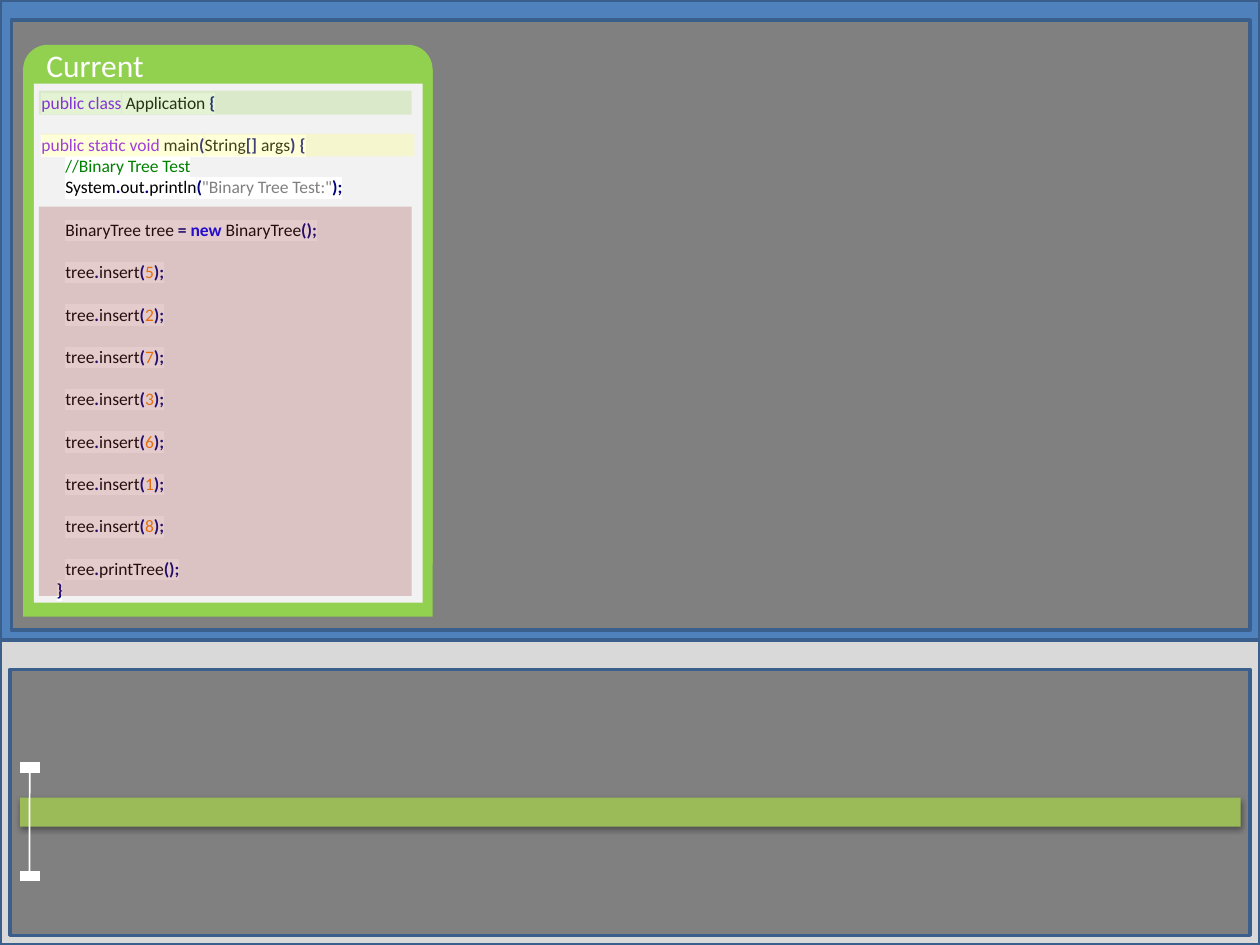
from lxml import etree
from pptx import Presentation
from pptx.dml.color import RGBColor
from pptx.enum.shapes import MSO_CONNECTOR, MSO_SHAPE
from pptx.enum.text import MSO_AUTO_SIZE
from pptx.oxml.ns import qn
from pptx.util import Pt

RECT = MSO_SHAPE.RECTANGLE
ROUND_TOP = MSO_SHAPE.ROUND_2_SAME_RECTANGLE
STRAIGHT = MSO_CONNECTOR.STRAIGHT
GROW = MSO_AUTO_SIZE.SHAPE_TO_FIT_TEXT

FONT = "Calibri"
CODE_SIZE = 10
BLANK_LINE = 12.2
COLORS = {
    "border": "3A5F8C", "footer": "D9D9D9", "frame": "4F81BD", "panel": "808080",
    "card": "92D050", "page": "F2F2F2", "white": "FFFFFF", "timeline": "9BBB59",
    "main_mark": "FFFF66", "class_mark": "92D050", "body_mark": "953735",
    "shadow": "000000",
    "keyword": "8000FF", "name": "000000", "symbol": "000080", "comment": "008000",
    "string": "808080", "new": "0000FF", "number": "FF8000",
}
BOLD_TOKENS = {"symbol", "new"}


def rgb(name):
    return RGBColor.from_string(COLORS[name])


def add_block(left, top, width, height, fill, border=False, opacity=None, kind=RECT):
    block = slide.shapes.add_shape(kind, Pt(left), Pt(top), Pt(width), Pt(height))
    block.shadow.inherit = False
    block.fill.solid()
    block.fill.fore_color.rgb = rgb(fill)
    if opacity:
        color = block._element.spPr.find(qn("a:solidFill"))[0]
        etree.SubElement(color, qn("a:alpha")).set("val", str(opacity * 1000))
    if border:
        block.line.color.rgb = rgb("border")
        block.line.width = Pt(2)
    else:
        block.line.fill.background()
    return block


prs = Presentation()
prs.slide_width, prs.slide_height = Pt(720), Pt(540)
slide = prs.slides.add_slide(prs.slide_layouts[6])

# Upper and lower areas with their panels
add_block(0, 365.8, 720, 174.2, "footer", border=True)
add_block(0, 0, 720, 365.8, "frame", border=True)
add_block(5.8, 382.5, 708.5, 152, "panel", border=True)
add_block(6.5, 11.5, 707.8, 348.5, "panel", border=True)

# Code card
card_top = add_block(13.2, 25.6, 234, 296.6, "card", kind=ROUND_TOP)
card_top.adjustments[0] = 0.06
card_top.adjustments[1] = 0
add_block(13.2, 39.6, 234, 312.8, "card")
add_block(19.4, 47.8, 222.2, 296.6, "page")

title = slide.shapes.add_textbox(Pt(19.4), Pt(22.6), Pt(70.6), Pt(29)).text_frame
title.word_wrap = False
title.auto_size = GROW
heading = title.paragraphs[0].add_run()
heading.text = "Current"
heading.font.name = FONT
heading.font.size = Pt(18)
heading.font.color.rgb = rgb("white")

# Each code line: indent, blank space above, (token kind, text) pairs
inserts = [
    (13.7, BLANK_LINE, [("name", "tree"), ("symbol", "."), ("name", "insert"),
                        ("symbol", "("), ("number", str(value)), ("symbol", ");")])
    for value in (5, 2, 7, 3, 6, 1, 8)
]
code_lines = [
    (0, 0, [("keyword", "public"), ("name", " "), ("keyword", "class"),
            ("name", " Application "), ("symbol", "{")]),
    (0, BLANK_LINE, [("keyword", "public"), ("name", " "), ("keyword", "static"),
                     ("name", " "), ("keyword", "void"), ("name", " main"),
                     ("symbol", "("), ("name", "String"), ("symbol", "[]"),
                     ("name", " args"), ("symbol", ")"), ("name", " "),
                     ("symbol", "{")]),
    (13.7, 0, [("comment", "//Binary Tree Test")]),
    (13.7, 0, [("name", "System"), ("symbol", "."), ("name", "out"), ("symbol", "."),
               ("name", "println"), ("symbol", "("),
               ("string", '"Binary Tree Test:"'), ("symbol", ");")]),
    (13.7, BLANK_LINE, [("name", "BinaryTree tree "), ("symbol", "="), ("name", " "),
                        ("new", "new"), ("name", " BinaryTree"), ("symbol", "();")]),
    *inserts,
    (13.7, BLANK_LINE, [("name", "tree"), ("symbol", "."), ("name", "printTree"),
                        ("symbol", "();")]),
    (8.6, 0, [("symbol", "}")]),
]

code = slide.shapes.add_textbox(Pt(16.6), Pt(49), Pt(190.8), Pt(298)).text_frame
code.word_wrap = False
code.auto_size = GROW
for number, (indent, space_above, tokens) in enumerate(code_lines):
    line = code.add_paragraph() if number else code.paragraphs[0]
    line.space_before = Pt(space_above)
    line._p.get_or_add_pPr().set("marL", str(Pt(indent)))
    for kind, text in tokens:
        token = line.add_run()
        token.text = text
        token.font.size = Pt(CODE_SIZE)
        token.font.bold = kind in BOLD_TOKENS
        token.font.color.rgb = rgb(kind)
        highlight = etree.SubElement(token.font._element, qn("a:highlight"))
        etree.SubElement(highlight, qn("a:srgbClr")).set("val", COLORS["white"])
        token.font.name = FONT

# Translucent marks over the code
add_block(23.8, 76.3, 213, 13, "main_mark", opacity=25)
add_block(22.3, 51.8, 213, 13.7, "class_mark", opacity=25)
add_block(22.3, 118.1, 213, 222.5, "body_mark", opacity=25)

# Timeline bar
timeline = add_block(11.5, 455.8, 697.5, 16.6, "timeline")
effects = timeline._element.spPr.find(qn("a:effectLst"))
shadow = etree.SubElement(effects, qn("a:outerShdw"), blurRad=str(Pt(3.1)),
                          dist=str(Pt(1.6)), dir="5400000", rotWithShape="0")
shadow_color = etree.SubElement(shadow, qn("a:srgbClr"), val=COLORS["shadow"])
etree.SubElement(shadow_color, qn("a:alpha"), val="38000")

# Playhead: two caps joined by a thin stem
for x1, y1, x2, y2, weight in (
    (11.5, 438.6, 22.6, 438.6, 6),
    (17, 438.6, 16.8, 500.6, 1),
    (11.5, 500.6, 22.6, 500.6, 6),
):
    stroke = slide.shapes.add_connector(STRAIGHT, Pt(x1), Pt(y1), Pt(x2), Pt(y2))
    stroke.line.color.rgb = rgb("white")
    stroke.line.width = Pt(weight)
    etree.SubElement(stroke._element.spPr, qn("a:effectLst"))

prs.save("out.pptx")
